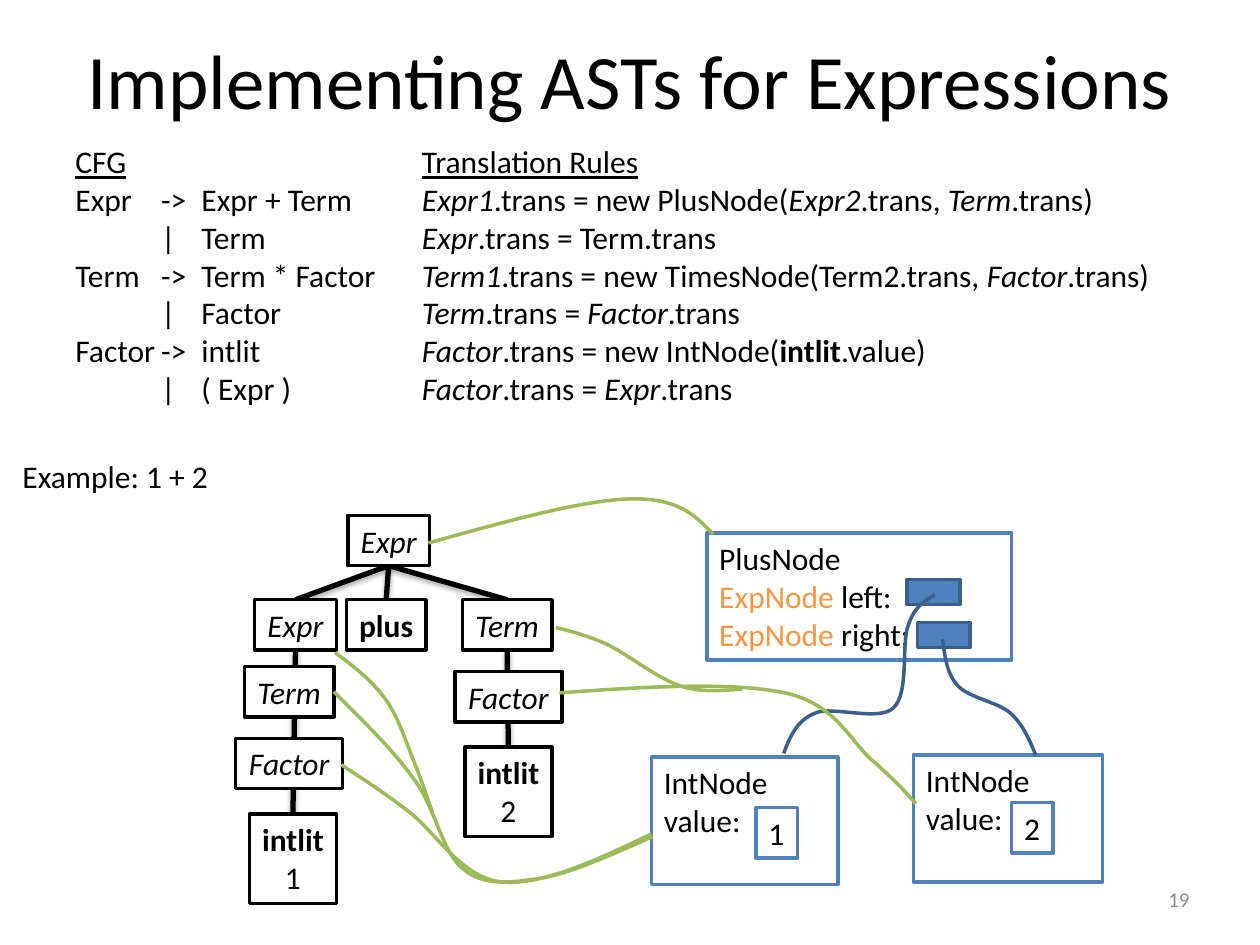
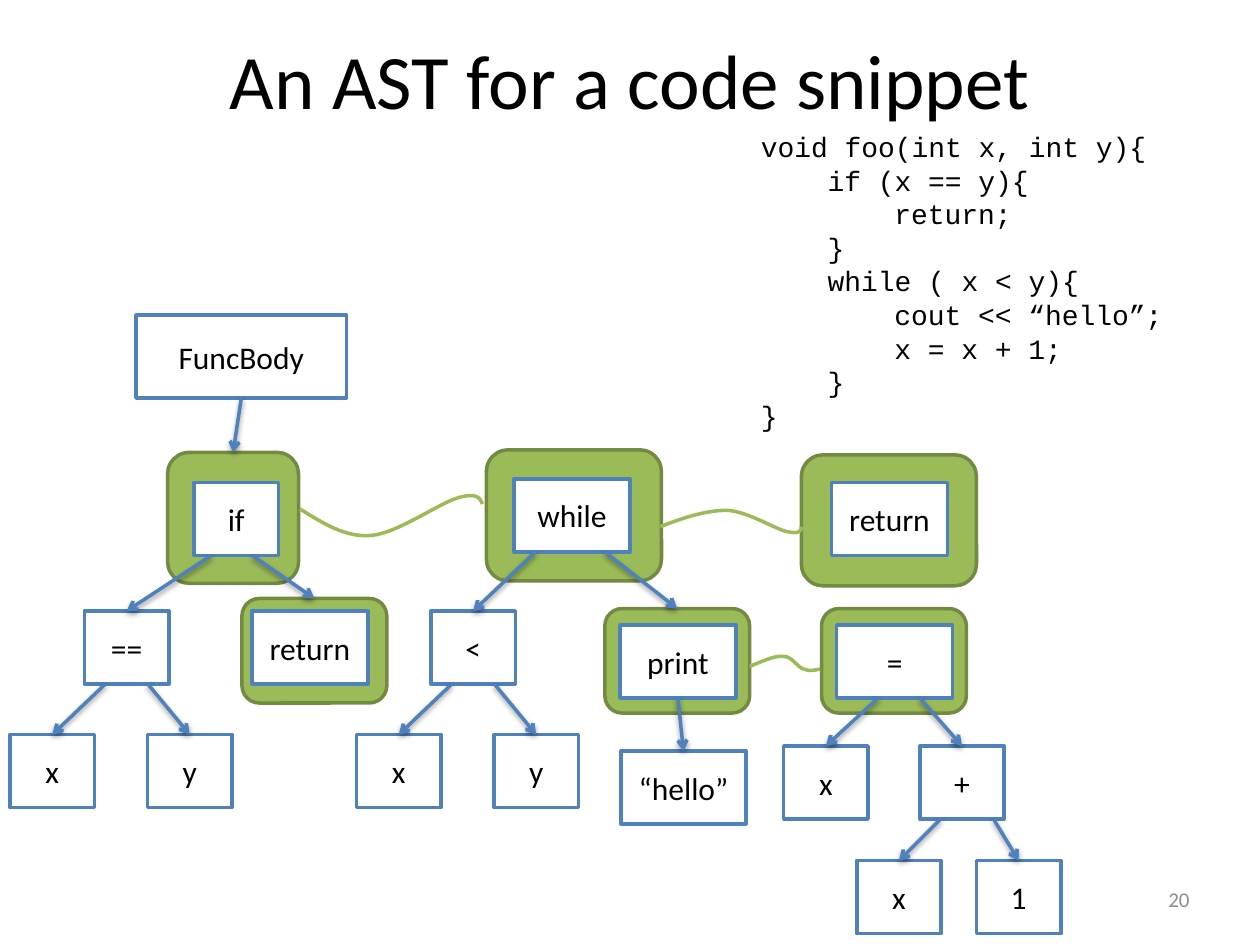
from pptx import Presentation
from pptx.dml.color import RGBColor
from pptx.enum.shapes import MSO_CONNECTOR, MSO_SHAPE
from pptx.enum.text import MSO_ANCHOR, MSO_AUTO_SIZE, PP_ALIGN
from pptx.oxml.ns import qn
from pptx.util import Inches, Pt
from lxml.etree import SubElement

BLACK = RGBColor(0x00, 0x00, 0x00)
WHITE = RGBColor(0xFF, 0xFF, 0xFF)
GRAY = RGBColor(0x8C, 0x8C, 0x8C)
BLUE = RGBColor(0x4F, 0x81, 0xBD)
DARK_BLUE = RGBColor(0x3A, 0x5F, 0x8C)
GREEN = RGBColor(0x9B, 0xBB, 0x59)
DARK_GREEN = RGBColor(0x73, 0x8A, 0x42)
ORANGE = RGBColor(0xF7, 0x96, 0x46)

GRAMMAR = [
    [("CFG", "u")],
    "Expr\t->\tExpr + Term",
    "\t|\tTerm",
    "Term\t->\tTerm * Factor",
    "\t|\tFactor",
    "Factor\t->\tintlit",
    "\t|\t( Expr )",
]
GRAMMAR_TABS = (0.68, 1.0)
RULES = [
    [("Translation Rules", "u")],
    [("Expr1", "i"), ".trans = new PlusNode(", ("Expr2", "i"), ".trans, ", ("Term", "i"), ".trans)"],
    [("Expr", "i"), ".trans = Term.trans"],
    [("Term1", "i"), ".trans = new TimesNode(Term2.trans, ", ("Factor", "i"), ".trans)"],
    [("Term", "i"), ".trans = ", ("Factor", "i"), ".trans"],
    [("Factor", "i"), ".trans = new IntNode(", ("intlit", "b"), ".value)"],
    [("Factor", "i"), ".trans = ", ("Expr", "i"), ".trans"],
]
PARSE_TREE = {
    "root": ([[("Expr", "i")]], 2.76, 4.09, 0.65),
    "left expr": ([[("Expr", "i")]], 2.02, 4.76, 0.65),
    "plus": ([[("plus", "b")]], 2.75, 4.76, 0.63),
    "right term": ([[("Term", "i")]], 3.67, 4.76, 0.71),
    "left term": ([[("Term", "i")]], 1.94, 5.29, 0.71),
    "left factor": ([[("Factor", "i")]], 1.87, 5.86, 0.85),
    "left intlit": ([[("intlit", "b")], "1"], 1.98, 6.46, 0.69),
    "right factor": ([[("Factor", "i")]], 3.61, 5.33, 0.85),
    "right intlit": ([[("intlit", "b")], "2"], 3.69, 5.93, 0.69),
}
PARSE_EDGES = [
    ("root", "left expr"), ("root", "plus"), ("root", "right term"),
    ("left expr", "left intlit"), ("right term", "right intlit"),
]
AST_NODES = [
    (["PlusNode", [("ExpNode", "o"), " left:"], [("ExpNode", "o"), " right:"]], (5.61, 4.23, 2.42, 1.01)),
    (["IntNode", "value:"], (5.17, 6.01, 1.48, 1.01)),
    (["IntNode", "value:"], (7.25, 5.99, 1.5, 1.01)),
]
INT_VALUES = [("1", 6.0, 6.41), ("2", 8.03, 6.37)]
POINTER_FIELDS = [(7.2, 4.6), (7.28, 4.94)]
POINTER_CURVES = [
    [(7.42, 4.72), (7.34, 4.77), (7.26, 4.81), (7.21, 4.96), (7.15, 5.11), (7.22, 5.5), (7.09, 5.62),
     (6.97, 5.73), (6.61, 5.6), (6.47, 5.66), (6.32, 5.72), (6.27, 5.85), (6.22, 5.98)],
    [(7.48, 5.07), (7.5, 5.2), (7.51, 5.34), (7.6, 5.44), (7.69, 5.54), (7.92, 5.57), (8.02, 5.66),
     (8.12, 5.75), (8.17, 5.87), (8.22, 5.99)],
]
TRANSLATION_CURVES = [
    [(2.71, 6.07), (2.86, 6.17), (3.02, 6.27), (3.23, 6.43), (3.44, 6.58), (3.66, 6.97), (3.98, 7),
     (4.3, 7.03), (4.73, 6.83), (5.17, 6.62)],
    [(2.65, 5.49), (2.88, 5.72), (3.12, 5.95), (3.29, 6.19), (3.46, 6.42), (3.51, 6.77), (3.68, 6.9),
     (3.84, 7.03), (4.04, 7.01), (4.29, 6.97), (4.54, 6.93), (4.86, 6.78), (5.18, 6.64)],
    [(2.66, 5.18), (2.81, 5.29), (2.95, 5.4), (3.06, 5.55), (3.17, 5.7), (3.24, 5.94), (3.3, 6.08),
     (3.36, 6.23), (3.39, 6.33), (3.43, 6.44)],
    [(4.44, 5.5), (5.12, 5.45), (5.81, 5.41), (6.23, 5.5), (6.65, 5.59), (6.76, 5.91), (6.94, 6.05),
     (7.11, 6.2), (7.19, 6.29), (7.27, 6.38)],
    [(4.41, 4.98), (4.53, 5.01), (4.65, 5.04), (4.81, 5.11), (4.98, 5.19), (5.21, 5.38), (5.39, 5.44),
     (5.56, 5.5), (5.72, 5.48), (5.89, 5.47)],
    [(3.4, 4.31), (4.01, 4.14), (4.62, 3.97), (5, 3.96), (5.38, 3.95), (5.52, 4.09), (5.66, 4.24)],
]

CODE = [
    (0, "void foo(int x, int y){"),
    (1, "if (x == y){"),
    (2, "return;"),
    (1, "}"),
    (1, "while ( x < y){"),
    (2, "cout << “hello”;"),
    (2, "x = x + 1;"),
    (1, "}"),
    (0, "}"),
]
CODE_INDENT = 0.53
SMALL, WIDE, NODE_HEIGHT = 0.67, 0.92, 0.58
SNIPPET_TREE = {
    "body": ("FuncBody", (1.08, 2.5, 1.67, 0.66)),
    "if": ("if", (1.54, 3.83, SMALL, NODE_HEIGHT)),
    "while": ("while", (4.08, 3.8, WIDE, NODE_HEIGHT)),
    "end": ("return", (6.6, 3.83, WIDE, NODE_HEIGHT)),
    "equal": ("==", (0.67, 4.85, SMALL, NODE_HEIGHT)),
    "equal x": ("x", (0.08, 5.83, SMALL, NODE_HEIGHT)),
    "equal y": ("y", (1.17, 5.83, SMALL, NODE_HEIGHT)),
    "return": ("return", (2.0, 4.85, WIDE, NODE_HEIGHT)),
    "less": ("<", (3.42, 4.85, SMALL, NODE_HEIGHT)),
    "less x": ("x", (2.83, 5.83, SMALL, NODE_HEIGHT)),
    "less y": ("y", (3.92, 5.83, SMALL, NODE_HEIGHT)),
    "print": ("print", (4.92, 4.96, WIDE, NODE_HEIGHT)),
    "hello": ("“hello”", (4.93, 5.96, 0.99, NODE_HEIGHT)),
    "assign": ("=", (6.64, 4.96, WIDE, NODE_HEIGHT)),
    "target": ("x", (6.22, 5.92, SMALL, NODE_HEIGHT)),
    "sum": ("+", (7.3, 5.92, SMALL, NODE_HEIGHT)),
    "sum x": ("x", (6.8, 6.83, SMALL, NODE_HEIGHT)),
    "sum 1": ("1", (7.75, 6.83, SMALL, NODE_HEIGHT)),
}
STATEMENT_PANELS = {
    "if": (1.33, 3.59, 1.04, 1.04),
    "while": (3.86, 3.57, 1.39, 1.04),
    "end": (6.36, 3.61, 1.39, 1.04),
    "return": (1.92, 4.75, 1.15, 0.83),
    "print": (4.8, 4.83, 1.15, 0.83),
    "assign": (6.52, 4.83, 1.15, 0.83),
}
SNIPPET_EDGES = [
    ("body", "if", 0), ("if", "equal", -0.2), ("if", "return", 0.13),
    ("equal", "equal x", -0.17), ("equal", "equal y", 0.17),
    ("while", "less", -0.29), ("while", "print", 0.26),
    ("less", "less x", -0.17), ("less", "less y", 0.17),
    ("print", "hello", 0), ("assign", "target", -0.13), ("assign", "sum", 0.2),
    ("sum", "sum x", -0.17), ("sum", "sum 1", 0.25),
]
NEXT_STATEMENT_CURVES = [
    [(5.24, 4.18), (5.42, 4.11), (5.6, 4.05), (5.77, 4.05), (5.94, 4.06), (6.15, 4.2), (6.25, 4.22),
     (6.35, 4.24), (6.36, 4.21), (6.36, 4.18)],
    [(2.38, 4.04), (2.56, 4.15), (2.74, 4.27), (2.95, 4.25), (3.16, 4.23), (3.49, 3.99), (3.64, 3.95),
     (3.78, 3.91), (3.81, 3.95), (3.83, 4)],
    [(5.95, 5.29), (6.05, 5.25), (6.15, 5.2), (6.22, 5.21), (6.29, 5.21), (6.33, 5.3), (6.38, 5.31),
     (6.42, 5.33), (6.47, 5.32), (6.51, 5.31)],
]


def inches(values):
    return [Inches(value) for value in values]


def write(frame, lines, size=18, font="Calibri", color=BLACK, align=PP_ALIGN.LEFT,
          anchor=MSO_ANCHOR.TOP, wrap=True, tabs=(), indents=()):
    frame.word_wrap = wrap
    frame.vertical_anchor = anchor
    if not wrap:
        frame.auto_size = MSO_AUTO_SIZE.SHAPE_TO_FIT_TEXT
    for index, line in enumerate(lines):
        paragraph = frame.paragraphs[0] if index == 0 else frame.add_paragraph()
        paragraph.alignment = align
        properties = paragraph._p.get_or_add_pPr()
        if indents:
            properties.set("marL", str(Inches(indents[index])))
        if tabs:
            stops = SubElement(properties, qn("a:tabLst"))
            for stop in tabs:
                SubElement(stops, qn("a:tab"), pos=str(Inches(stop)), algn="l")
        for part in [line] if isinstance(line, str) else line:
            words, style = (part, "") if isinstance(part, str) else part
            run = paragraph.add_run()
            run.text = words
            run.font.size, run.font.name = Pt(size), font
            run.font.color.rgb = ORANGE if style == "o" else color
            run.font.bold, run.font.italic = style == "b", style == "i"
            run.font.underline = style == "u"


def add_text(slide, box, lines, **text_format):
    write(slide.shapes.add_textbox(*inches(box)).text_frame, lines, **text_format)


def add_box(slide, box, lines=(), fill=WHITE, line=BLUE, preset=MSO_SHAPE.RECTANGLE, **text_format):
    shape = slide.shapes.add_shape(preset, *inches(box))
    shape.shadow.inherit = False
    shape.fill.solid()
    shape.fill.fore_color.rgb = fill
    shape.line.color.rgb = line
    shape.line.width = Pt(2)
    write(shape.text_frame, lines, **text_format)


def add_edge(slide, start, end, color, width, arrow=False, shadow_distance=1.6, shadow_alpha=38):
    edge = slide.shapes.add_connector(MSO_CONNECTOR.STRAIGHT, *inches(start + end))
    edge.line.color.rgb = color
    edge.line.width = Pt(width)
    properties = edge._element.spPr
    if arrow:
        SubElement(properties.find(qn("a:ln")), qn("a:tailEnd"), type="arrow")
    effects = SubElement(properties, qn("a:effectLst"))
    shadow = SubElement(effects, qn("a:outerShdw"), blurRad=str(Pt(3.1)),
                        dist=str(Pt(shadow_distance)), dir="5400000", rotWithShape="0")
    shade = SubElement(shadow, qn("a:srgbClr"), val=str(BLACK))
    SubElement(shade, qn("a:alpha"), val=str(shadow_alpha * 1000))


def add_curve(slide, points, color):
    start, *others = [inches(point) for point in points]
    builder = slide.shapes.build_freeform(*start)
    builder.add_line_segments(others, close=False)
    curve = builder.convert_to_shape()
    curve.shadow.inherit = False
    curve.fill.background()
    curve.line.color.rgb = color
    curve.line.width = Pt(2)
    segments = list(curve._element.iter(qn("a:lnTo")))
    outline = segments[0].getparent()
    for first in range(0, len(segments), 3):
        bezier = SubElement(outline, qn("a:cubicBezTo"))
        for segment in segments[first:first + 3]:
            bezier.append(segment[0])
            outline.remove(segment)


def top_center(box):
    return box[0] + box[2] / 2, box[1]


def bottom_center(box, offset=0):
    return box[0] + box[2] / 2 + offset, box[1] + box[3]


def new_slide(presentation, title, number):
    slide = presentation.slides.add_slide(presentation.slide_layouts[5])
    heading = slide.shapes.title
    heading.left, heading.top, heading.width, heading.height = inches((0.5, 0, 9, 1.25))
    write(heading.text_frame, [title], size=44, align=PP_ALIGN.CENTER, anchor=MSO_ANCHOR.MIDDLE)
    add_text(slide, (7.21, 6.94, 2.33, 0.4), [number], size=12, color=GRAY,
             align=PP_ALIGN.RIGHT, anchor=MSO_ANCHOR.MIDDLE)
    return slide


def build_expressions(presentation):
    slide = new_slide(presentation, "Implementing ASTs for Expressions", "19")
    add_text(slide, (0.5, 1.08, 3.42, 2.22), GRAMMAR, tabs=GRAMMAR_TABS)
    add_text(slide, (3.25, 1.08, 6.75, 2.22), RULES)
    add_text(slide, (0.08, 3.58, 1.69, 0.4), ["Example: 1 + 2"], wrap=False)
    for lines, box in AST_NODES:
        add_box(slide, box, lines)
    for left, top in POINTER_FIELDS:
        add_box(slide, (left, top, 0.42, 0.2), fill=BLUE, line=DARK_BLUE)
    for value, left, top in INT_VALUES:
        add_box(slide, (left, top, 0.33, 0.4), [value], wrap=False)
    boxes = {key: (left, top, width, 0.4 if len(lines) == 1 else 0.71)
             for key, (lines, left, top, width) in PARSE_TREE.items()}
    for parent, child in PARSE_EDGES:
        add_edge(slide, bottom_center(boxes[parent]), top_center(boxes[child]), BLACK, 3,
                 shadow_distance=1.8, shadow_alpha=35)
    for key, box in boxes.items():
        add_box(slide, box, PARSE_TREE[key][0], line=BLACK, align=PP_ALIGN.CENTER, wrap=False)
    for points in POINTER_CURVES:
        add_curve(slide, points, DARK_BLUE)
    for points in TRANSLATION_CURVES:
        add_curve(slide, points, GREEN)


def build_snippet(presentation):
    slide = new_slide(presentation, "An AST for a code snippet", "20")
    add_text(slide, (5.94, 0.98, 3.42, 2.52), [line for _, line in CODE], size=16,
             font="Courier New", indents=[level * CODE_INDENT for level, _ in CODE])
    for panel in STATEMENT_PANELS.values():
        add_box(slide, panel, fill=GREEN, line=DARK_GREEN, preset=MSO_SHAPE.ROUNDED_RECTANGLE)
    for label, box in SNIPPET_TREE.values():
        add_box(slide, box, [label], align=PP_ALIGN.CENTER, anchor=MSO_ANCHOR.MIDDLE)
    for parent, child, offset in SNIPPET_EDGES:
        target = STATEMENT_PANELS.get(child, SNIPPET_TREE[child][1])
        add_edge(slide, bottom_center(SNIPPET_TREE[parent][1], offset), top_center(target),
                 BLUE, 2, arrow=True)
    for points in NEXT_STATEMENT_CURVES:
        add_curve(slide, points, GREEN)


deck = Presentation()
deck.slide_width, deck.slide_height = Inches(10), Inches(7.5)
build_expressions(deck)
build_snippet(deck)
deck.save("out.pptx")
